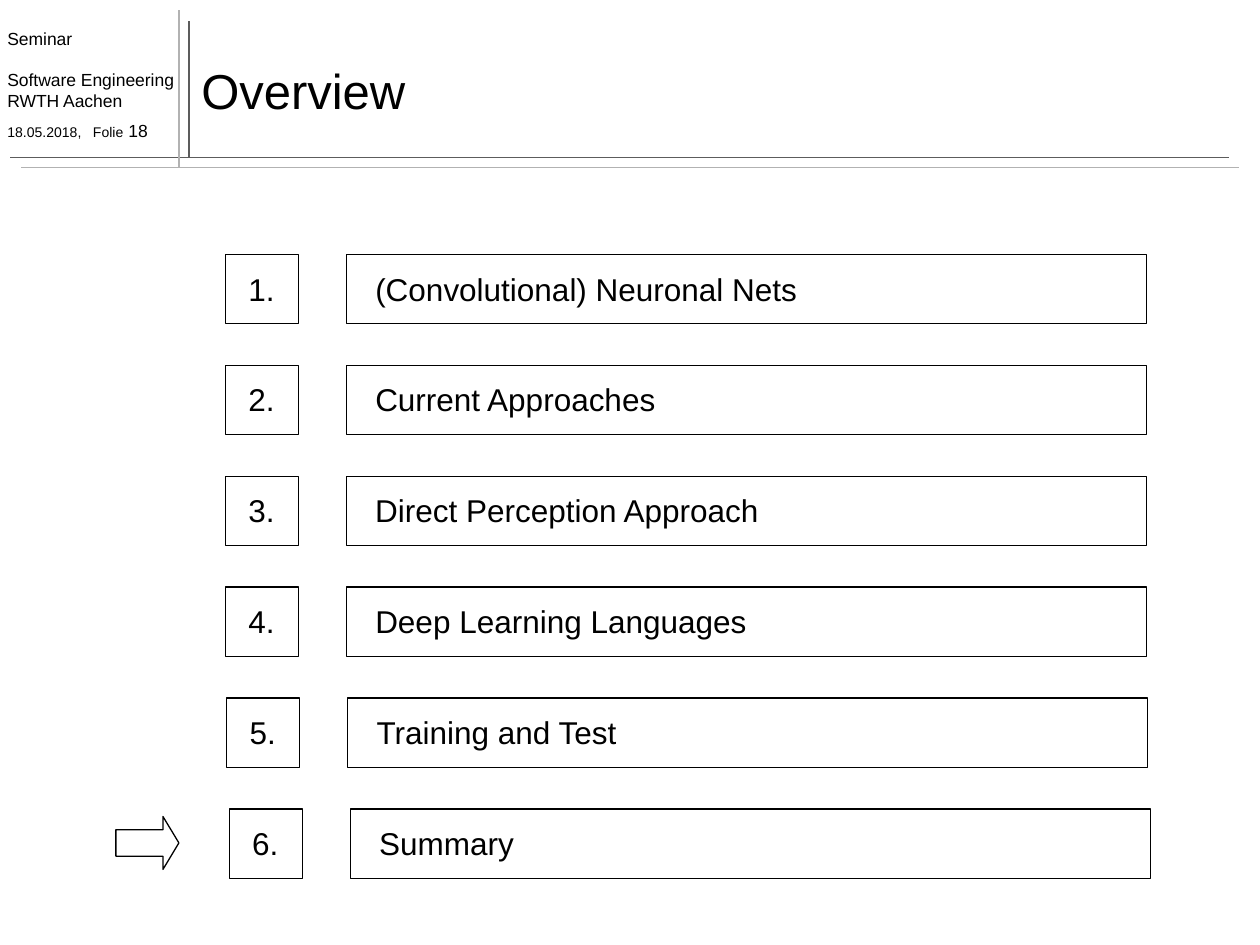
import pptx
import pptx.util
import pptx.dml.color
import pptx.enum.shapes
import pptx.enum.text
import pptx.oxml
from lxml import etree

Inches = pptx.util.Inches
Pt = pptx.util.Pt
SHAPE = pptx.enum.shapes.MSO_SHAPE
ALIGN = pptx.enum.text.PP_ALIGN
ANCHOR = pptx.enum.text.MSO_ANCHOR
FIT = pptx.enum.text.MSO_AUTO_SIZE

FONT = "Arial"
COLORS = {"text": "000000", "dark_rule": "5C5C5C", "light_rule": "B2B2B2"}
DRAWING = "http://schemas.openxmlformats.org/drawingml/2006/main"

# Topic, width of its label, shift of its row to the right
TOPICS = [
    ("(Convolutional) Neuronal Nets", 3.58, 0),
    ("Current Approaches", 2.45, 0),
    ("Direct Perception Approach", 3.27, 0),
    ("Deep Learning Languages", 3.18, 0),
    ("Training and Test", 2.12, 0.01),
    ("Summary", 1.28, 0.03),
]
ROW_PITCH = 0.88
ROW_HEIGHT = 0.55


def color(name):
    return pptx.dml.color.RGBColor.from_string(COLORS[name])


def format_span(span, size, bold=False):
    span.font.name = FONT
    span.font.size = Pt(size)
    span.font.bold = bold
    span.font.color.rgb = color("text")


def add_rule(page, start, end, color_name):
    rule = page.shapes.add_connector(
        pptx.enum.shapes.MSO_CONNECTOR.STRAIGHT,
        *(Inches(value) for value in start + end))
    rule.line.color.rgb = color(color_name)
    rule.line.width = Pt(1)
    etree.SubElement(rule._element.spPr, f"{{{DRAWING}}}effectLst")


def add_outline(shapes, kind, left, top, width, height):
    """Add an unfilled shape with a thin black outline."""
    outline = shapes.add_shape(
        kind, Inches(left), Inches(top), Inches(width), Inches(height))
    outline.shadow.inherit = False
    outline.fill.background()
    outline.line.color.rgb = color("text")
    outline.line.width = Pt(0.75)
    return outline


def add_label(shapes, text, left, top, width, height, size, align=ALIGN.LEFT):
    label = shapes.add_textbox(
        Inches(left), Inches(top), Inches(width), Inches(height))
    frame = label.text_frame
    frame.word_wrap = False
    frame.vertical_anchor = ANCHOR.MIDDLE
    frame.text = text
    frame.paragraphs[0].alignment = align
    format_span(frame.paragraphs[0].runs[0], size)
    return label


def add_header_rules(page):
    add_rule(page, (1.5, 1.25), (1.5, 0.17), "dark_rule")
    add_rule(page, (0.08, 1.25), (9.75, 1.25), "dark_rule")
    add_rule(page, (0.17, 1.33), (9.83, 1.33), "light_rule")
    add_rule(page, (1.42, 1.33), (1.42, 0.08), "light_rule")


def add_seminar_info(page, left, top, width, height):
    box = page.shapes.add_textbox(
        Inches(left), Inches(top), Inches(width), Inches(height))
    frame = box.text_frame
    frame.word_wrap = True
    frame.text = "Seminar\nSoftware Engineering\nRWTH Aachen\n18.05.2018,\tFolie"
    seminar, _, _, date = frame.paragraphs
    date.add_run().text = " 18"
    for para in frame.paragraphs:
        for span in para.runs:
            format_span(span, 10, bold=para is seminar)
    frame.paragraphs[1].space_before = Pt(11.5)
    date.space_before = Pt(5.5)
    date.runs[0].font.size = Pt(8)

    tabs = etree.SubElement(date._p.get_or_add_pPr(), f"{{{DRAWING}}}tabLst")
    etree.SubElement(tabs, f"{{{DRAWING}}}tab",
                     pos=str(Inches(0.68)), algn="l")


def add_topic(page, number, topic, label_width, left, top):
    """Add a numbered row: a square for the number and a bar for the topic."""
    row = page.shapes.add_group_shape().shapes
    add_outline(row, SHAPE.RECTANGLE, left + 0.96, top, 6.35, ROW_HEIGHT)
    topic_label = add_label(row, topic, left + 1.09, top + 0.07,
                            label_width, 0.4, 18)
    add_outline(row, SHAPE.RECTANGLE, left, top, 0.58, ROW_HEIGHT)
    number_label = add_label(row, f"{number}.", left + 0.08, top + 0.07,
                             0.41, 0.4, 18, ALIGN.CENTER)
    for label in (topic_label, number_label):
        label.text_frame.auto_size = FIT.SHAPE_TO_FIT_TEXT


def add_agenda(page, left, top):
    for index, (topic, label_width, shift) in enumerate(TOPICS):
        add_topic(page, index + 1, topic, label_width,
                  left + shift, top + index * ROW_PITCH)


def add_current_marker(page, left, top, width, height):
    arrow = add_outline(page.shapes, SHAPE.RIGHT_ARROW,
                        left, top, width, height)
    arrow.adjustments[0] = 0.5
    arrow.adjustments[1] = 0.3


def main():
    deck = pptx.Presentation()
    deck.slide_width = Inches(10)
    deck.slide_height = Inches(7.5)
    page = deck.slides.add_slide(deck.slide_layouts[6])
    add_header_rules(page)
    add_seminar_info(page, -0.04, 0.17, 1.54, 1.03)
    add_label(page.shapes, "Overview", 1.5, 0.25, 8.33, 0.92, 28).text_frame.word_wrap = True
    add_agenda(page, 1.79, 2.02)
    add_current_marker(page, 0.92, 6.48, 0.5, 0.42)
    deck.save("out.pptx")


if __name__ == "__main__":
    main()
